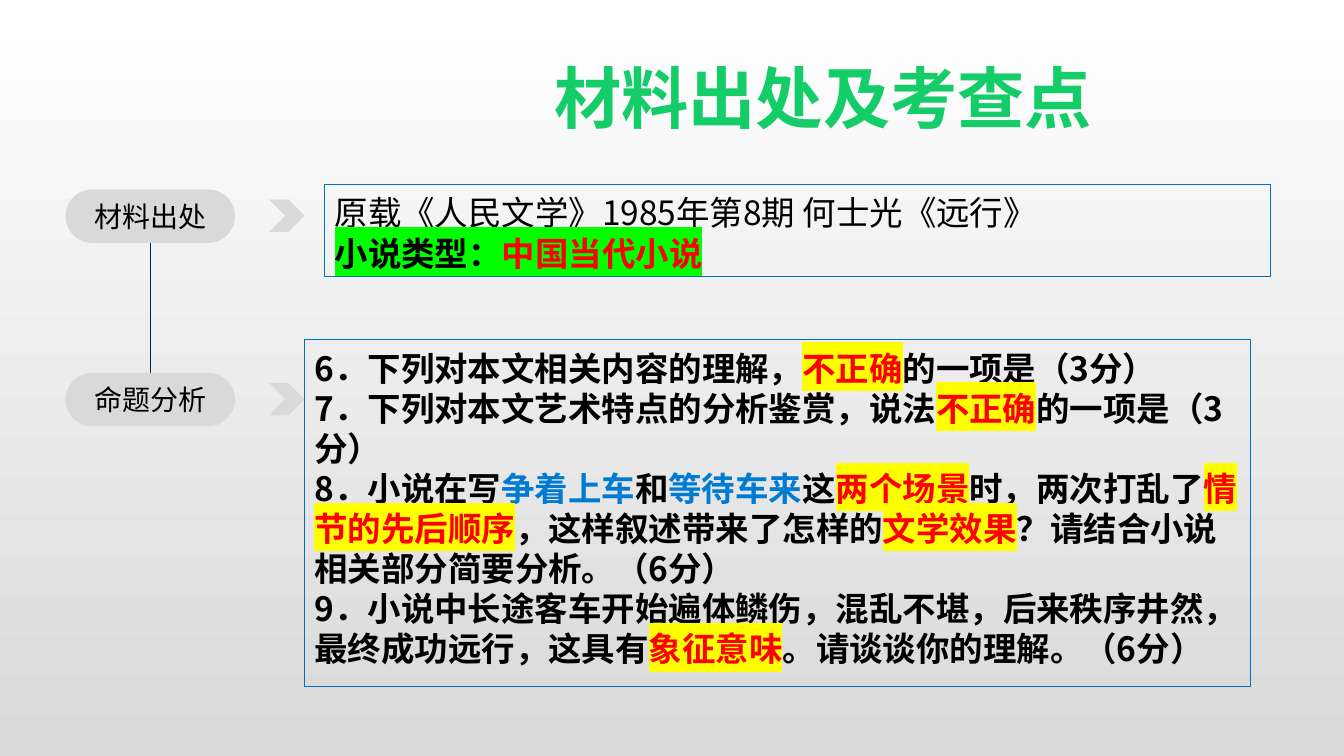
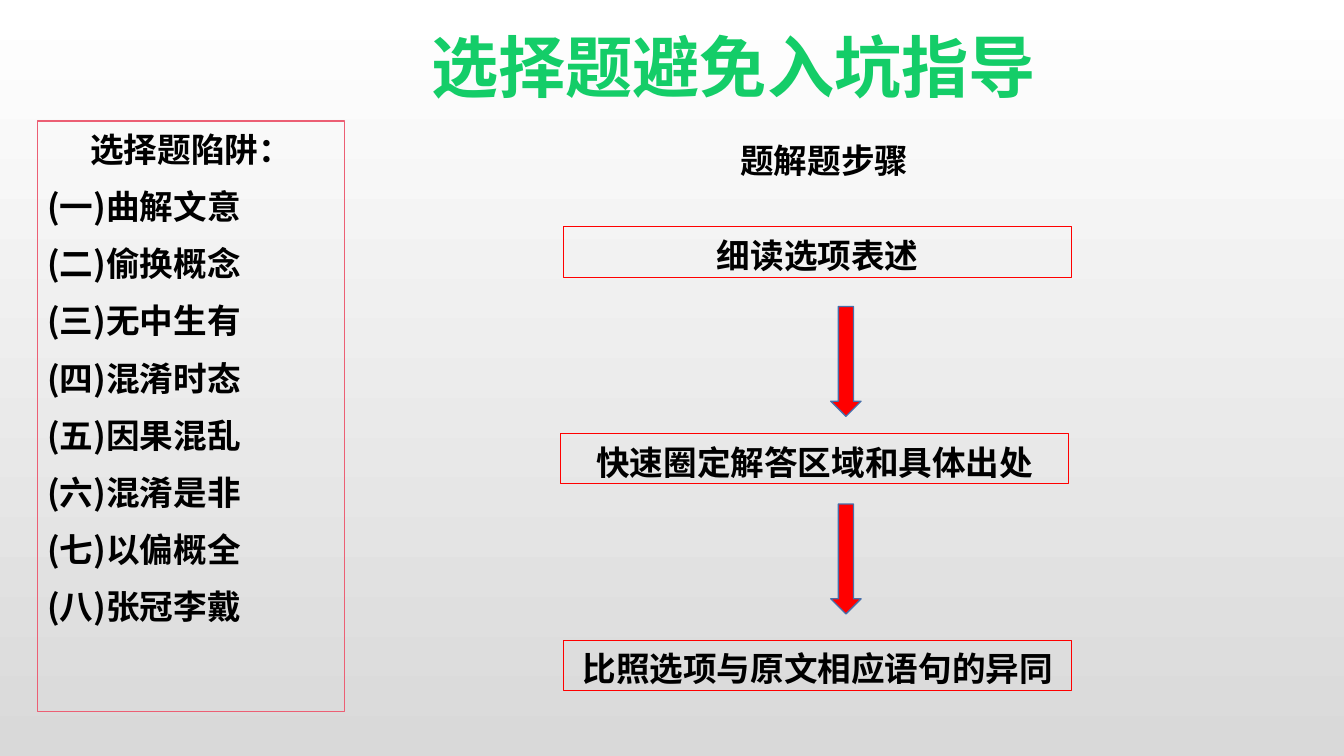
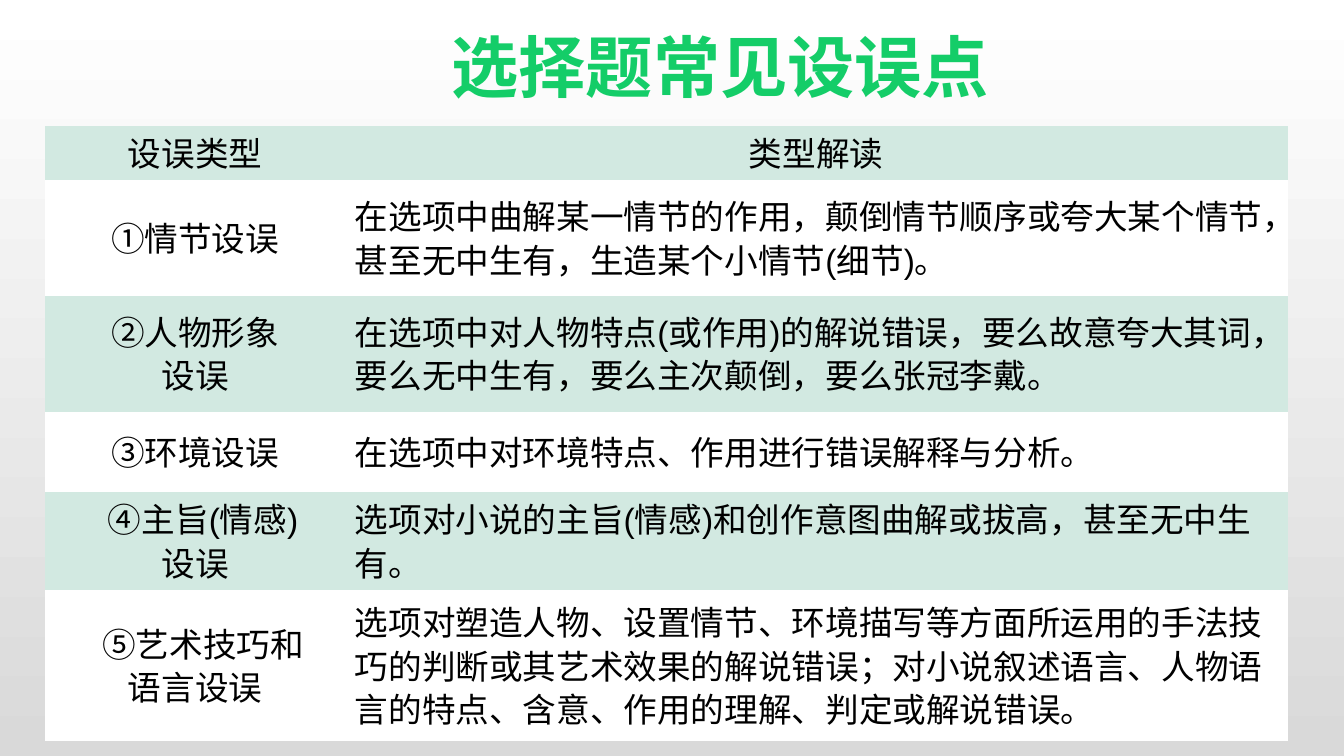
from lxml import etree
from pptx import Presentation
from pptx.dml.color import RGBColor
from pptx.enum import shapes, text
from pptx.oxml.ns import qn
from pptx.util import Inches, Pt

SANS, TITLE_FONT = "Noto Sans CJK SC", "Noto Sans CJK JP"
BLACK, WHITE, RED, GREEN = "000000", "FFFFFF", "FF0000", "14CD68"
GREY, BLUE, NAVY, PINK = "D9D9D9", "0070C0", "002060", "EC5F74"
MINT, ARROW_EDGE = "D2E9E1", "476FAA"
LEFT, CENTER = text.PP_ALIGN.LEFT, text.PP_ALIGN.CENTER
KIND = shapes.MSO_SHAPE

# Run styles: colour, bold, highlight
STYLES = {
    "plain": (BLACK, False, None),
    "bold": (BLACK, True, None),
    "key": (RED, True, "FFFF00"),
    "scene": ("007BD3", True, None),
    "label": (BLACK, True, "00FF00"),
    "genre": (RED, True, "00FF00"),
    "title": (GREEN, True, None),
}

TITLES = [
    ("材料出处及考查点", (5.25, 0.44, 5.83, 0.91)),
    ("选择题避免入坑指导", (3.12, 0.13, 8.31, 0.91)),
    ("选择题常见设误点", (4.23, 0.13, 5.83, 0.91)),
]

SECTIONS = [("材料出处", 1.88), ("命题分析", 3.7)]
ORIGIN = [
    [("原载《人民文学》1985年第8期 何士光《远行》", "plain")],
    [("小说类型：", "label"), ("中国当代小说", "genre")],
]
QUESTIONS = [
    [("6．下列对本文相关内容的理解，", "bold"), ("不正确", "key"),
     ("的一项是（3分）", "bold")],
    [("7．下列对本文艺术特点的分析鉴赏，说法", "bold"), ("不正确", "key"),
     ("的一项是（3分）", "bold")],
    [("8．小说在写", "bold"), ("争着上车", "scene"), ("和", "bold"),
     ("等待车来", "scene"), ("这", "bold"), ("两个场景", "key"),
     ("时，两次打乱了", "bold"), ("情节的先后顺序", "key"),
     ("，这样叙述带来了怎样的", "bold"), ("文学效果", "key"),
     ("？请结合小说相关部分简要分析。（6分）", "bold")],
    [("9．小说中长途客车开始遍体鳞伤，混乱不堪，后来秩序井然，"
      "最终成功远行，这具有", "bold"), ("象征意味", "key"),
     ("。请谈谈你的理解。（6分）", "bold")],
]

TRAPS_HEADING = "选择题陷阱："
TRAPS = ["(一)曲解文意", "(二)偷换概念", "(三)无中生有", "(四)混淆时态",
         "(五)因果混乱", "(六)混淆是非", "(七)以偏概全", "(八)张冠李戴"]
STEPS_HEADING = "题解题步骤"
STEPS = [("细读选项表述", 5.59), ("快速圈定解答区域和具体出处", 5.56),
         ("比照选项与原文相应语句的异同", 5.59)]

ERROR_COLUMNS = [2.97, 9.35]
ERROR_ROWS = [  # height, type, explanation
    (0.49, "设误类型", "类型解读"),
    (1.15, "①情节设误",
     "在选项中曲解某一情节的作用，颠倒情节顺序或夸大某个情节，甚至无中生有，"
     "生造某个小情节(细节)。"),
    (1.15, "②人物形象\n设误",
     "在选项中对人物特点(或作用)的解说错误，要么故意夸大其词，要么无中生有，"
     "要么主次颠倒，要么张冠李戴。"),
    (0.8, "③环境设误", "在选项中对环境特点、作用进行错误解释与分析。"),
    (0.82, "④主旨(情感)\n设误",
     "选项对小说的主旨(情感)和创作意图曲解或拔高，甚至无中生有。"),
    (1.5, "⑤艺术技巧和\n语言设误",
     "选项对塑造人物、设置情节、环境描写等方面所运用的手法技巧的判断或其艺术效果的"
     "解说错误；对小说叙述语言、人物语言的特点、含意、作用的理解、判定或解说错误。"),
]
NO_TABLE_STYLE = "{2D5ABB26-0587-4C30-8999-92F81FD0307C}"


def color(value):
    return RGBColor.from_string(value)


def inches(box):
    return [Inches(side) for side in box]


def format_run(run, style, size, font=SANS):
    ink, bold, highlight = STYLES[style]
    run.font.size, run.font.bold = Pt(size), bold
    run.font.color.rgb = color(ink)
    props = run.font._element
    if highlight:
        mark = etree.SubElement(props, qn("a:highlight"))
        etree.SubElement(mark, qn("a:srgbClr")).set("val", highlight)
    run.font.name = font
    etree.SubElement(props, qn("a:ea")).set("typeface", SANS if font == "Arial" else font)


def write(frame, paragraphs, size, align=LEFT, font=SANS, top=0.08, gap=0):
    """Fill a frame with paragraphs of (text, style) runs on a 1.2 line pitch."""
    frame.word_wrap, frame.auto_size = True, text.MSO_AUTO_SIZE.NONE
    frame.vertical_anchor = text.MSO_ANCHOR.TOP
    frame.margin_top, frame.margin_bottom = Inches(top), 0
    for i, runs in enumerate(paragraphs):
        paragraph = frame.add_paragraph() if i else frame.paragraphs[0]
        paragraph.alignment = align
        paragraph.line_spacing = Pt(size * 1.2)
        if i and gap:
            paragraph.space_before = Pt(gap)
        for words, style in runs:
            run = paragraph.add_run()
            run.text = words
            format_run(run, style, size, font)


def add_shape(slide, kind, box, fill=None, line=None, width=0.75):
    shape = slide.shapes.add_shape(kind, *inches(box))
    shape.shadow.inherit = False
    if fill:
        shape.fill.solid()
        shape.fill.fore_color.rgb = color(fill)
    else:
        shape.fill.background()
    if line:
        shape.line.color.rgb = color(line)
        shape.line.width = Pt(width)
    else:
        shape.line.fill.background()
    return shape


def add_slide(prs, title, box):
    slide = prs.slides.add_slide(prs.slide_layouts[5])
    heading = slide.shapes.title
    heading.left, heading.top, heading.width, heading.height = inches(box)
    write(heading.text_frame, [[(title, "title")]], 48, CENTER, TITLE_FONT, 0.12)
    return slide


def fill_source_slide(slide):
    link = slide.shapes.add_connector(
        shapes.MSO_CONNECTOR.STRAIGHT, *inches((1.49, 2.37, 1.49, 4.18)))
    link.line.color.rgb, link.line.width = color(NAVY), Pt(0.75)
    etree.SubElement(link._element.spPr, qn("a:effectLst"))
    for name, top in SECTIONS:
        pill = add_shape(slide, KIND.ROUNDED_RECTANGLE, (0.65, top, 1.68, 0.53), GREY)
        pill.adjustments[0] = 0.5
        pill.text_frame.text = name
        label = pill.text_frame.paragraphs[0]
        label.alignment = CENTER
        format_run(label.runs[0], "plain", 20)
        add_shape(slide, KIND.CHEVRON, (2.67, top + 0.1, 0.35, 0.32), GREY)
    for paragraphs, box in ((ORIGIN, (3.22, 1.83, 9.38, 0.91)),
                            (QUESTIONS, (3.02, 3.37, 9.38, 3.44))):
        panel = add_shape(slide, KIND.RECTANGLE, box, line=BLUE)
        write(panel.text_frame, paragraphs, 23.9)


def fill_steps_slide(slide):
    traps = add_shape(slide, KIND.RECTANGLE, (0.37, 1.2, 3.05, 5.86), line=PINK, width=1)
    write(traps.text_frame, [[(words, "bold")] for words in [TRAPS_HEADING] + TRAPS],
          24, gap=12)
    traps.text_frame.paragraphs[0].alignment = CENTER
    heading = slide.shapes.add_textbox(*inches((6.35, 1.31, 3.65, 0.5)))
    write(heading.text_frame, [[(STEPS_HEADING, "bold")]], 24, CENTER)
    for i, (words, left) in enumerate(STEPS):
        step = add_shape(slide, KIND.RECTANGLE, (left, 2.25 + 2.05 * i, 5.04, 0.5), line=RED)
        write(step.text_frame, [[(words, "bold")]], 24, CENTER)
    for i in range(len(STEPS) - 1):
        add_shape(slide, KIND.DOWN_ARROW, (8.24, 3.04 + 1.96 * i, 0.3, 1.09),
                  RED, ARROW_EDGE, 1)


def fill_errors_slide(slide):
    table = slide.shapes.add_table(len(ERROR_ROWS), len(ERROR_COLUMNS),
                                   *inches((0.45, 1.25, 12.32, 5.9))).table
    table._tbl.tblPr.find(qn("a:tableStyleId")).text = NO_TABLE_STYLE
    for column, width in zip(table.columns, ERROR_COLUMNS):
        column.width = Inches(width)
    for r, (height, *entries) in enumerate(ERROR_ROWS):
        table.rows[r].height = Inches(height)
        for c, words in enumerate(entries):
            cell = table.cell(r, c)
            cell.fill.solid()
            cell.fill.fore_color.rgb = color(WHITE if r % 2 else MINT)
            cell.vertical_anchor = text.MSO_ANCHOR.MIDDLE
            cell.text_frame.text = words
            for paragraph in cell.text_frame.paragraphs:
                paragraph.alignment = LEFT if r and c else CENTER
                paragraph.line_spacing = 0.9
                if paragraph.text[0] in "④⑤":
                    paragraph._p.get_or_add_pPr().set("marL", str(Inches(0.16)))
                format_run(paragraph.runs[0], "plain", 24, "Arial")


def main():
    prs = Presentation()
    prs.slide_width, prs.slide_height = Inches(13.33), Inches(7.5)
    backdrop = prs.slide_master.background.fill
    backdrop.gradient()
    backdrop.gradient_angle = 270
    for stop, shade in zip(backdrop.gradient_stops, (WHITE, GREY)):
        stop.color.rgb = color(shade)
    builders = (fill_source_slide, fill_steps_slide, fill_errors_slide)
    for (title, box), build in zip(TITLES, builders):
        build(add_slide(prs, title, box))
    prs.save("out.pptx")


if __name__ == "__main__":
    main()
